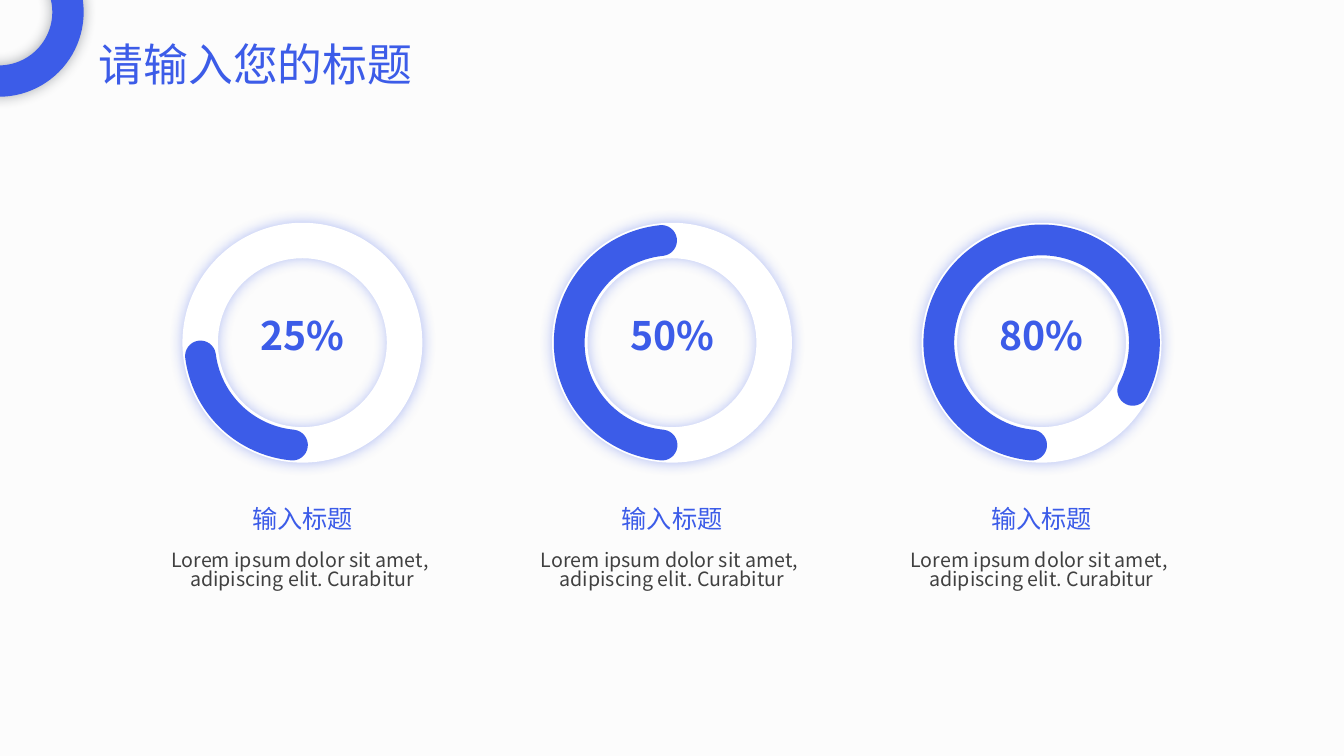
"""Build a slide of three progress rings on a grid of 160 columns by 90 rows."""
from dataclasses import dataclass
from typing import Any

from lxml.etree import SubElement
from pptx import Presentation
from pptx.dml.color import RGBColor
from pptx.enum.shapes import MSO_SHAPE
from pptx.enum.text import MSO_AUTO_SIZE, PP_ALIGN
from pptx.oxml.ns import qn
from pptx.util import Emu, Inches, Pt


@dataclass(frozen=True)
class Theme:
    font: str = "Noto Sans CJK SC"
    blue: str = "3C5CE8"
    white: str = "FFFFFF"
    grey: str = "404040"
    shade: str = "222A35"
    page: str = "FCFCFC"
    head: int = 32
    value: int = 28
    label: int = 18
    body: int = 14
    stroke: int = 22
    leading: float = 0.84


@dataclass(frozen=True)
class Box:
    left: float
    top: float
    width: float
    height: float


@dataclass(frozen=True)
class Words:
    lines: tuple[str, ...]
    box: Box
    size: int
    color: str
    wrap: bool = True
    bold: bool = False
    align: Any = PP_ALIGN.CENTER


@dataclass(frozen=True)
class Gauge:
    value: str
    end: float


THEME = Theme()
CELL = Inches(13.333) / 160
FIRST, PITCH, MIDDLE = 36, 44, 40.8
RING, ARC, START = 28.56, 24.48, 275.58
GAUGES = (Gauge("25%", 352.62), Gauge("50%", 84.16), Gauge("80%", 207.57))
BODY = ("Lorem ipsum dolor sit amet, ", "adipiscing elit. Curabitur")


def assign(target: Any, values: dict[str, Any]) -> None:
    for name, value in values.items():
        setattr(target, name, value)


def place(box: Box) -> tuple[Emu, ...]:
    return tuple(Emu(round(n * CELL)) for n in (box.left, box.top, box.width, box.height))


def square(x: float, y: float, size: float) -> Box:
    return Box(x - size / 2, y - size / 2, size, size)


def centred(x: float, top: float, width: float, height: float) -> Box:
    return Box(x - width / 2, top, width, height)


def write(shapes: Any, words: Words) -> None:
    frame = shapes.add_textbox(*place(words.box)).text_frame
    assign(frame, {"word_wrap": words.wrap, "auto_size": MSO_AUTO_SIZE.SHAPE_TO_FIT_TEXT})
    for index, line in enumerate(words.lines):
        para = frame.add_paragraph() if index else frame.paragraphs[0]
        assign(para, {"alignment": words.align, "line_spacing": THEME.leading})
        run = para.add_run()
        run.text = line
        assign(run.font, {"name": THEME.font, "size": Pt(words.size), "bold": words.bold})
        run.font.color.rgb = RGBColor.from_string(words.color)
        SubElement(run.font._element, qn("a:ea"), typeface=THEME.font)


def donut(shapes: Any, box: Box, band: float, color: str, shade: str) -> None:
    ring = shapes.add_shape(MSO_SHAPE.DONUT, *place(box))
    ring.adjustments[0] = band
    ring.fill.solid()
    ring.fill.fore_color.rgb = RGBColor.from_string(color)
    ring.line.fill.background()
    ring.shadow.inherit = False
    effects = ring._element.spPr.find(qn("a:effectLst"))
    glow = SubElement(effects, qn("a:outerShdw"), blurRad=str(Pt(10)), algn="ctr", rotWithShape="0")
    tint = SubElement(glow, qn("a:srgbClr"), val=shade)
    SubElement(tint, qn("a:alpha"), val="40000")


def arc(shapes: Any, box: Box, end: float) -> None:
    curve = shapes.add_shape(MSO_SHAPE.ARC, *place(box))
    for index, angle in enumerate((START, end)):
        curve.adjustments[index] = angle * 0.6
    curve.rotation = 180
    curve.shadow.inherit = False
    curve.fill.background()
    curve.line.color.rgb = RGBColor.from_string(THEME.blue)
    curve.line.width = Pt(THEME.stroke)
    curve._element.spPr.find(qn("a:ln")).set("cap", "rnd")


def draw(slide: Any, gauge: Gauge, x: float) -> None:
    shapes = slide.shapes.add_group_shape().shapes
    donut(shapes, square(x, MIDDLE, RING), 0.148, THEME.white, THEME.blue)
    arc(shapes, square(x, MIDDLE, ARC), gauge.end)
    for words in (
        Words((gauge.value,), centred(x, 37.32, 12.6, 6.84), THEME.value, THEME.blue, False, True),
        Words(BODY, centred(x, 65.04, 44.52, 6.84), THEME.body, THEME.grey),
        Words(("输入标题",), centred(x, 59.88, 14.52, 4.8), THEME.label, THEME.blue, False),
    ):
        write(shapes, words)


def main() -> None:
    deck = Presentation()
    assign(deck, {"slide_width": Emu(round(160 * CELL)), "slide_height": Inches(7.5)})
    slide = deck.slides.add_slide(deck.slide_layouts[6])
    slide.background.fill.solid()
    slide.background.fill.fore_color.rgb = RGBColor.from_string(THEME.page)
    for index, gauge in enumerate(GAUGES):
        draw(slide, gauge, FIRST + index * PITCH)
    shapes = slide.shapes.add_group_shape().shapes
    donut(shapes, square(-0.12, 1.44, 20.16), 0.185, THEME.blue, THEME.shade)
    title = Box(10.56, 4.8, 55.44, 7.68)
    write(shapes, Words(("请输入您的标题",), title, THEME.head, THEME.blue, align=PP_ALIGN.LEFT))
    deck.save("out.pptx")


if __name__ == "__main__":
    main()
